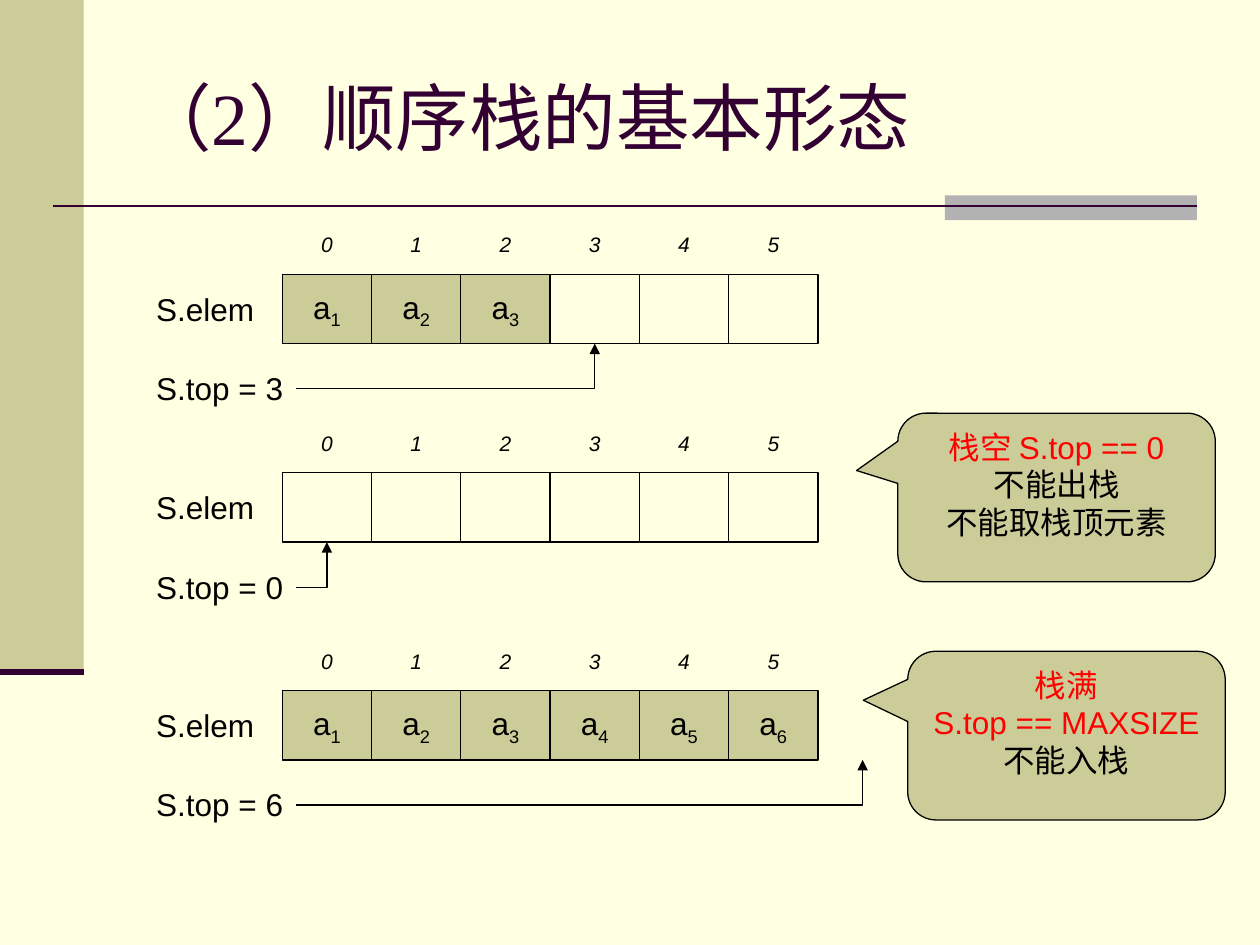
from dataclasses import dataclass

from lxml import etree
from pptx import Presentation
from pptx.dml.color import RGBColor
from pptx.enum.shapes import MSO_CONNECTOR, MSO_SHAPE
from pptx.enum.text import MSO_ANCHOR, PP_ALIGN
from pptx.oxml.ns import qn
from pptx.util import Cm, Pt

RECTANGLE = MSO_SHAPE.RECTANGLE
CALLOUT = MSO_SHAPE.ROUNDED_RECTANGULAR_CALLOUT
STRAIGHT, ELBOW = MSO_CONNECTOR.STRAIGHT, MSO_CONNECTOR.ELBOW
TOP, MIDDLE = MSO_ANCHOR.TOP, MSO_ANCHOR.MIDDLE
LEFT, CENTER = PP_ALIGN.LEFT, PP_ALIGN.CENTER


@dataclass(frozen=True)
class Theme:
    paper: RGBColor = RGBColor(0xFF, 0xFF, 0xE1)
    olive: RGBColor = RGBColor(0xCC, 0xCC, 0x99)
    gray: RGBColor = RGBColor(0xB2, 0xB2, 0xB2)
    plum: RGBColor = RGBColor(0x33, 0x00, 0x33)
    ink: RGBColor = RGBColor(0, 0, 0)
    accent: RGBColor = RGBColor(0xFF, 0, 0)
    title_font: str = "Times New Roman"
    body_font: str = "Arial"
    title_size: float = 42
    body_size: float = 18
    index_size: float = 12
    thin: float = 0.75


THEME = Theme()

# Array grid, in centimetres
CELL_COUNT = 6
CELL_LEFT, CELL_WIDTH, CELL_HEIGHT = 5.69, 1.8, 1.4
INDEX_RISE, INDEX_HEIGHT = 1.0, 0.8
LABEL_LEFT, LABEL_HEIGHT = 2.9, 1.02
ARROW_LEFT, ARROW_DROP = 5.97, 2.31


@dataclass(frozen=True)
class Box:
    left: float
    top: float
    width: float
    height: float

    def lengths(self) -> tuple:
        return Cm(self.left), Cm(self.top), Cm(self.width), Cm(self.height)


@dataclass(frozen=True)
class Stack:
    top: float
    used: int


@dataclass(frozen=True)
class Note:
    box: Box
    tip: tuple[float, float]
    warnings: list[str]
    effects: list[str]


STACKS = [Stack(5.53, 3), Stack(9.53, 0), Stack(13.92, 6)]
NOTES = [
    Note(Box(18.1, 8.33, 6.4, 3.4), (-0.63, -0.16),
         ["栈空 S.top == 0"], ["不能出栈", "不能取栈顶元素"]),
    Note(Box(18.3, 13.13, 6.4, 3.4), (-0.64, -0.21),
         ["栈满", "S.top == MAXSIZE"], ["不能入栈"]),
]


def add_block(slide, box: Box, fill: RGBColor, outlined: bool = False, kind=RECTANGLE):
    block = slide.shapes.add_shape(kind, *box.lengths())
    block.shadow.inherit = False
    block.fill.solid()
    block.fill.fore_color.rgb = fill
    if outlined:
        block.line.color.rgb = THEME.ink
        block.line.width = Pt(THEME.thin)
    else:
        block.line.fill.background()
    return block


def style(paragraph, size: float, color: RGBColor = THEME.ink,
          font: str = THEME.body_font, align=CENTER) -> None:
    paragraph.alignment = align
    paragraph.font.name = font
    paragraph.font.size = Pt(size)
    paragraph.font.color.rgb = color


def add_label(slide, box: Box, text: str) -> None:
    frame = slide.shapes.add_textbox(*box.lengths()).text_frame
    frame.word_wrap = False
    frame.text = text
    style(frame.paragraphs[0], THEME.body_size, align=LEFT)


def add_line(slide, kind, start: tuple, end: tuple, color: RGBColor, width: float):
    line = slide.shapes.add_connector(kind, *(Cm(v) for v in start + end))
    line.line.color.rgb = color
    line.line.width = Pt(width)
    etree.SubElement(line._element.spPr, qn("a:effectLst"))
    return line


def add_top_arrow(slide, start: tuple, end: tuple) -> None:
    arrow = add_line(slide, ELBOW, start, end, THEME.ink, THEME.thin)
    properties = arrow._element.spPr
    properties.find(qn("a:prstGeom")).set("prst", "bentConnector2")
    etree.SubElement(properties.find(qn("a:ln")), qn("a:tailEnd"), type="triangle")


def add_stack(slide, stack: Stack) -> None:
    for index in range(CELL_COUNT):
        left = CELL_LEFT + index * CELL_WIDTH

        # Index above the cell
        index_box = Box(left, stack.top - INDEX_RISE, CELL_WIDTH, INDEX_HEIGHT)
        frame = add_block(slide, index_box, THEME.paper).text_frame
        frame.word_wrap = False
        frame.text = str(index)
        style(frame.paragraphs[0], THEME.index_size)
        frame.paragraphs[0].font.italic = True

        # Cell with its element
        filled = index < stack.used
        cell = add_block(slide, Box(left, stack.top, CELL_WIDTH, CELL_HEIGHT),
                         THEME.olive if filled else THEME.paper, outlined=True)
        if filled:
            cell.text_frame.word_wrap = False
            element = cell.text_frame.paragraphs[0]
            style(element, THEME.body_size)
            element.add_run().text = "a"
            subscript = element.add_run()
            subscript.text = str(index + 1)
            subscript._r.get_or_add_rPr().set("baseline", "-25000")

    # Names and top pointer
    add_label(slide, Box(LABEL_LEFT, stack.top + 0.19, 2.49, LABEL_HEIGHT), "S.elem")
    add_label(slide, Box(LABEL_LEFT, stack.top + 1.79, 3.07, LABEL_HEIGHT),
              f"S.top = {stack.used}")
    add_top_arrow(slide, (ARROW_LEFT, stack.top + ARROW_DROP),
                  (CELL_LEFT + (stack.used + 0.5) * CELL_WIDTH, stack.top + CELL_HEIGHT))


def add_note(slide, note: Note) -> None:
    callout = add_block(slide, note.box, THEME.olive, outlined=True, kind=CALLOUT)
    callout.adjustments[0], callout.adjustments[1] = note.tip
    frame = callout.text_frame
    frame.word_wrap = True
    frame.vertical_anchor = TOP
    frame.text = "\n".join(note.warnings + note.effects)
    for number, paragraph in enumerate(frame.paragraphs):
        is_warning = number < len(note.warnings)
        style(paragraph, THEME.body_size, THEME.accent if is_warning else THEME.ink)


def add_title(slide, text: str) -> None:
    frame = slide.shapes.add_textbox(*Box(2.54, 0.76, 21.59, 3.18).lengths()).text_frame
    frame.word_wrap = True
    frame.vertical_anchor = MIDDLE
    frame.text = text
    style(frame.paragraphs[0], THEME.title_size, THEME.plum, THEME.title_font, LEFT)


def main() -> None:
    presentation = Presentation()
    presentation.slide_width, presentation.slide_height = Cm(25.4), Cm(19.05)
    slide = presentation.slides.add_slide(presentation.slide_layouts[6])
    slide.background.fill.solid()
    slide.background.fill.fore_color.rgb = THEME.paper

    # Side band and title rule
    add_block(slide, Box(0, 0, 1.69, 13.55), THEME.olive)
    add_block(slide, Box(19.05, 3.94, 5.08, 0.5), THEME.gray)
    add_line(slide, STRAIGHT, (1.06, 4.15), (24.13, 4.15), THEME.plum, 1.5)
    add_line(slide, STRAIGHT, (0, 13.55), (1.69, 13.55), THEME.plum, 3.5)
    add_title(slide, "（2）顺序栈的基本形态")

    # Stack states and their limits
    for stack in STACKS:
        add_stack(slide, stack)
    for note in NOTES:
        add_note(slide, note)

    presentation.save("out.pptx")


if __name__ == "__main__":
    main()
